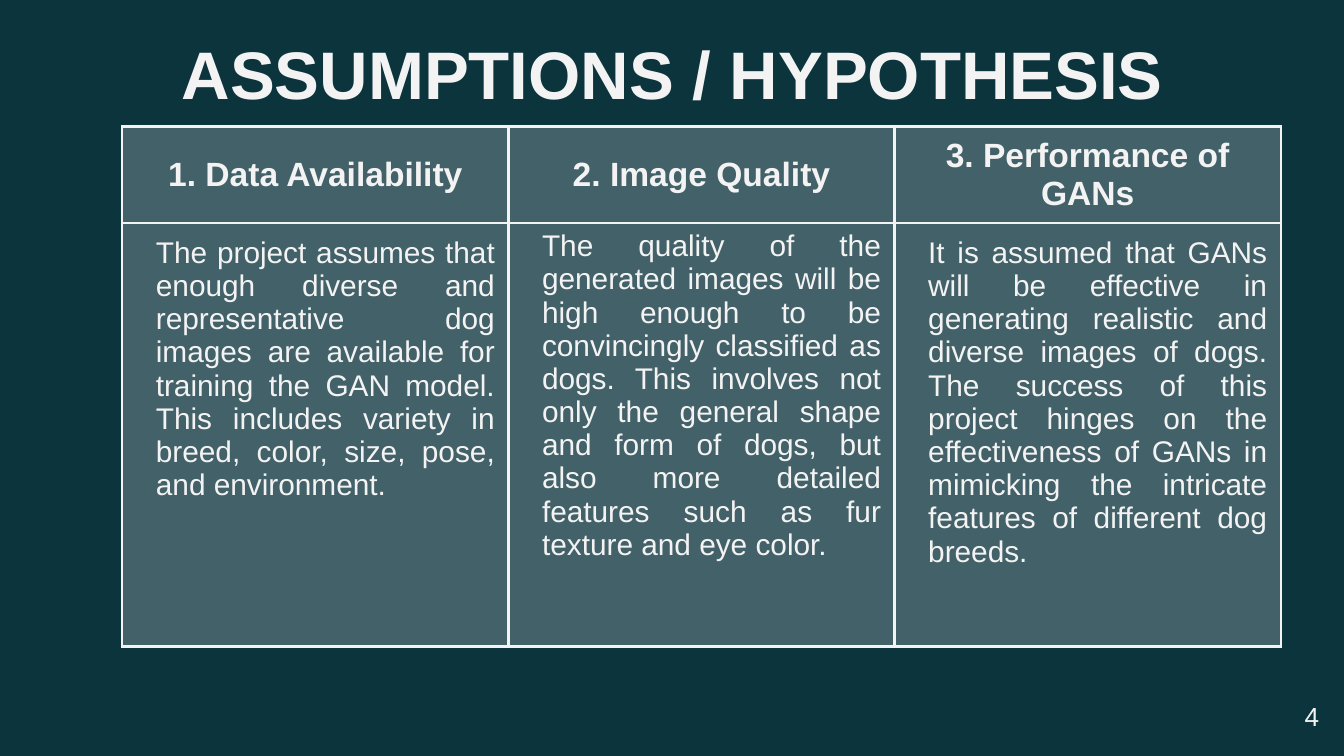
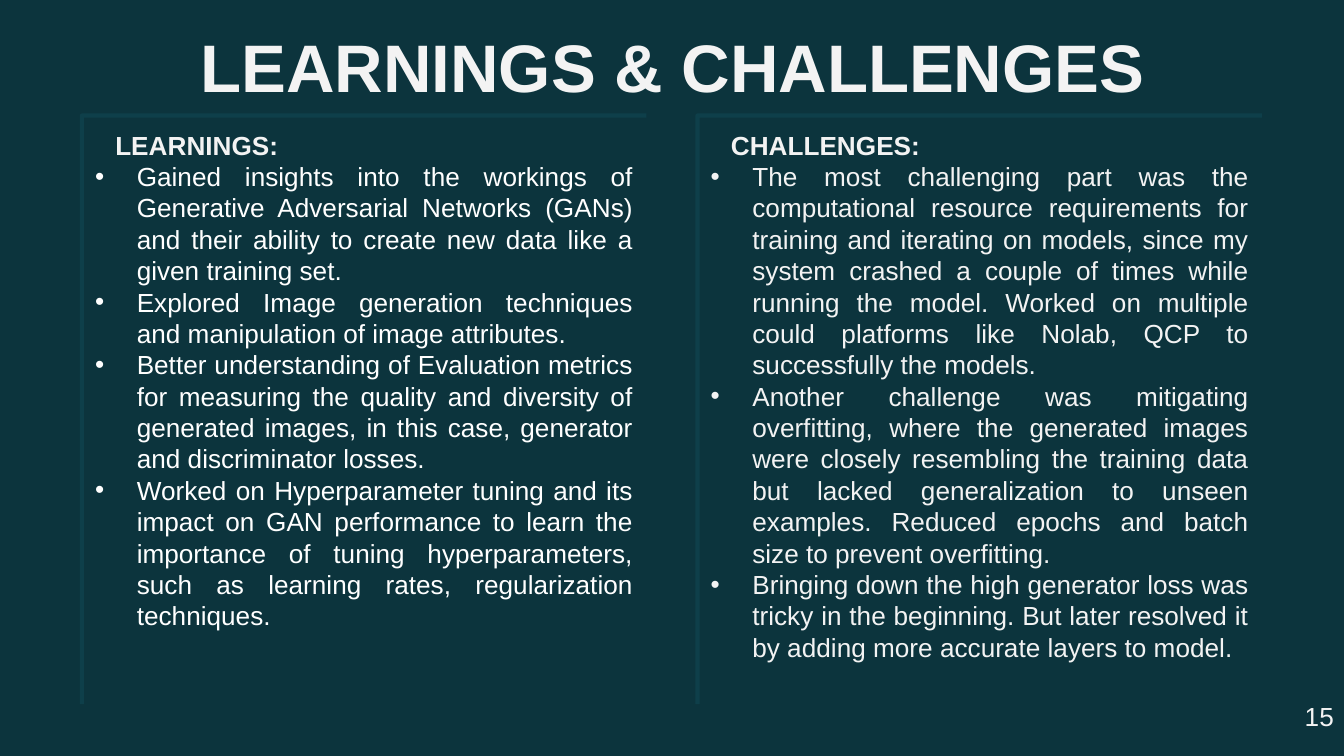
from pptx import Presentation
from pptx.dml.color import RGBColor
from pptx.enum.text import MSO_ANCHOR, MSO_AUTO_SIZE, PP_ALIGN
from pptx.oxml.ns import qn
from pptx.util import Inches, Pt
from lxml import etree

LEFT, MID, JUST = PP_ALIGN.LEFT, PP_ALIGN.CENTER, PP_ALIGN.JUSTIFY
TOP, CENTER = MSO_ANCHOR.TOP, MSO_ANCHOR.MIDDLE
NO_FIT, GROW = MSO_AUTO_SIZE.NONE, MSO_AUTO_SIZE.SHAPE_TO_FIT_TEXT
FONT, DARK, LIGHT, WHITE, TEAL = "Arial", "0C343D", "F3F3F3", "FFFFFF", "1E8298"


def color(code):
    return RGBColor.from_string(code)


def write(par, text, size, align=LEFT, bold=False, code=LIGHT, indent=0, bullet=False):
    par.alignment = align
    props = par._p.get_or_add_pPr()
    props.set("marL", str(Inches(indent)))
    props.set("indent", str(Inches(-indent) if bullet else 0))
    if bullet:
        etree.SubElement(props, qn("a:buFont"), typeface=FONT)
        etree.SubElement(props, qn("a:buChar"), char="•")
    run = par.add_run()
    run.text = text
    run.font.name, run.font.size, run.font.bold = FONT, Pt(size), bold
    run.font.color.rgb = color(code)


prs = Presentation()
prs.slide_width = Inches(10)
prs.slide_height = prs.slide_width * 9 // 16
back = prs.slide_master.background.fill
back.solid()
back.fore_color.rgb = color(DARK)

# Titles
slides = []
for name, top in [("ASSUMPTIONS / HYPOTHESIS", 0.14), ("LEARNINGS & CHALLENGES", 0.09)]:
    slide = prs.slides.add_slide(prs.slide_layouts[5])
    slides.append(slide)
    title = slide.shapes.title
    title.left, title.top = Inches(0.79), Inches(top)
    title.width, title.height = Inches(8.43), Inches(0.63)
    frame = title.text_frame
    frame.auto_size, frame.vertical_anchor = NO_FIT, TOP
    frame.margin_top = frame.margin_bottom = Inches(0.1)
    write(frame.paragraphs[0], name, 36, MID, True)

# Table of assumptions
heads = ["1. Data Availability", "2. Image Quality", "3. Performance of GANs"]
bodies = [
    "The project assumes that enough diverse and representative dog images are "
    "available for training the GAN model. This includes variety in breed, color, "
    "size, pose, and environment.",
    "The quality of the generated images will be high enough to be convincingly "
    "classified as dogs. This involves not only the general shape and form of dogs, "
    "but also more detailed features such as fur texture and eye color.",
    "It is assumed that GANs will be effective in generating realistic and diverse "
    "images of dogs. The success of this project hinges on the effectiveness of GANs "
    "in mimicking the intricate features of different dog breeds.",
]
pads = [(0.08, 0.08, 0.08), (0.1, 0.05, 0.1)]
table = slides[0].shapes.add_table(
    2, 3, Inches(0.91), Inches(0.94), Inches(8.62), Inches(3.77)).table
table.first_row = table.horz_banding = False
for row, high in zip(table.rows, (0.62, 3.15)):
    row.height = Inches(high)
for r, texts in enumerate((heads, bodies)):
    for c, text in enumerate(texts):
        cell = table.cell(r, c)
        cell.margin_left = cell.margin_right = Inches(0.1)
        cell.margin_top = cell.margin_bottom = Inches(pads[r][c])
        par = cell.text_frame.paragraphs[0]
        if r == 0:
            cell.vertical_anchor = CENTER
            write(par, text, 18, MID, True)
        else:
            write(par, text, 16, JUST, indent=0.15)

        # Translucent fill and light borders
        cell.fill.solid()
        cell.fill.fore_color.rgb = color(LIGHT)
        props = cell._tc.get_or_add_tcPr()
        etree.SubElement(props.find(".//" + qn("a:srgbClr")), qn("a:alpha"), val="24000")
        for i, side in enumerate(("lnL", "lnR", "lnT", "lnB")):
            edge = etree.Element(qn("a:" + side), w=str(Pt(1.5)))
            paint = etree.SubElement(edge, qn("a:solidFill"))
            etree.SubElement(paint, qn("a:srgbClr"), val=LIGHT)
            props.insert(i, edge)

# Panels of learnings and challenges
panels = [
    (5.19, "CHALLENGES:", JUST, LIGHT, [
        "The most challenging part was the computational resource requirements for "
        "training and iterating on models, since my system crashed a couple of times "
        "while running the model. Worked on multiple could platforms like Nolab, QCP "
        "to successfully the models.",
        "Another challenge was mitigating overfitting, where the generated images were "
        "closely resembling the training data but lacked generalization to unseen "
        "examples. Reduced epochs and batch size to prevent overfitting.",
        "Bringing down the high generator loss was tricky in the beginning. But later "
        "resolved it by adding more accurate layers to model.",
    ]),
    (0.61, "LEARNINGS:", LEFT, WHITE, [
        "Gained insights into the workings of Generative Adversarial Networks (GANs) "
        "and their ability to create new data like a given training set.",
        "Explored Image generation techniques and manipulation of image attributes.",
        "Better understanding of Evaluation metrics for measuring the quality and "
        "diversity of generated images, in this case, generator and discriminator losses.",
        "Worked on Hyperparameter tuning and its impact on GAN performance to learn the "
        "importance of tuning hyperparameters, such as learning rates, regularization "
        "techniques.",
    ]),
]
top, wide, high = 0.86, 4.2, 4.38
for left, head, align, code, points in panels:
    # Open outline along the left and the top
    pen = slides[1].shapes.build_freeform(Inches(left), Inches(top + high))
    pen.add_line_segments([(Inches(left), Inches(top)),
                           (Inches(left + wide), Inches(top))], close=False)
    panel = pen.convert_to_shape()
    panel.shadow.inherit = False
    panel.fill.background()
    panel.line.width = Pt(2.25)
    panel.line.color.rgb = color(TEAL)
    tint = panel._element.spPr.find(".//" + qn("a:srgbClr"))
    etree.SubElement(tint, qn("a:alpha"), val="15000")

    frame = panel.text_frame
    frame.word_wrap, frame.vertical_anchor = True, TOP
    frame.margin_left = frame.margin_right = Inches(0.1)
    frame.margin_top = frame.margin_bottom = Inches(0.1)
    write(frame.paragraphs[0], head, 14, align, True, indent=0.15)
    for point in points:
        write(frame.add_paragraph(), point, 14, JUST, False, code, 0.31, True)

# Page numbers
for slide, page in zip(slides, ("4", "15")):
    box = slide.shapes.add_textbox(Inches(9.61), Inches(5.16), Inches(0.64), Inches(0.34))
    box.text_frame.word_wrap = True
    box.text_frame.auto_size = GROW
    write(box.text_frame.paragraphs[0], page, 14)

prs.save("out.pptx")
